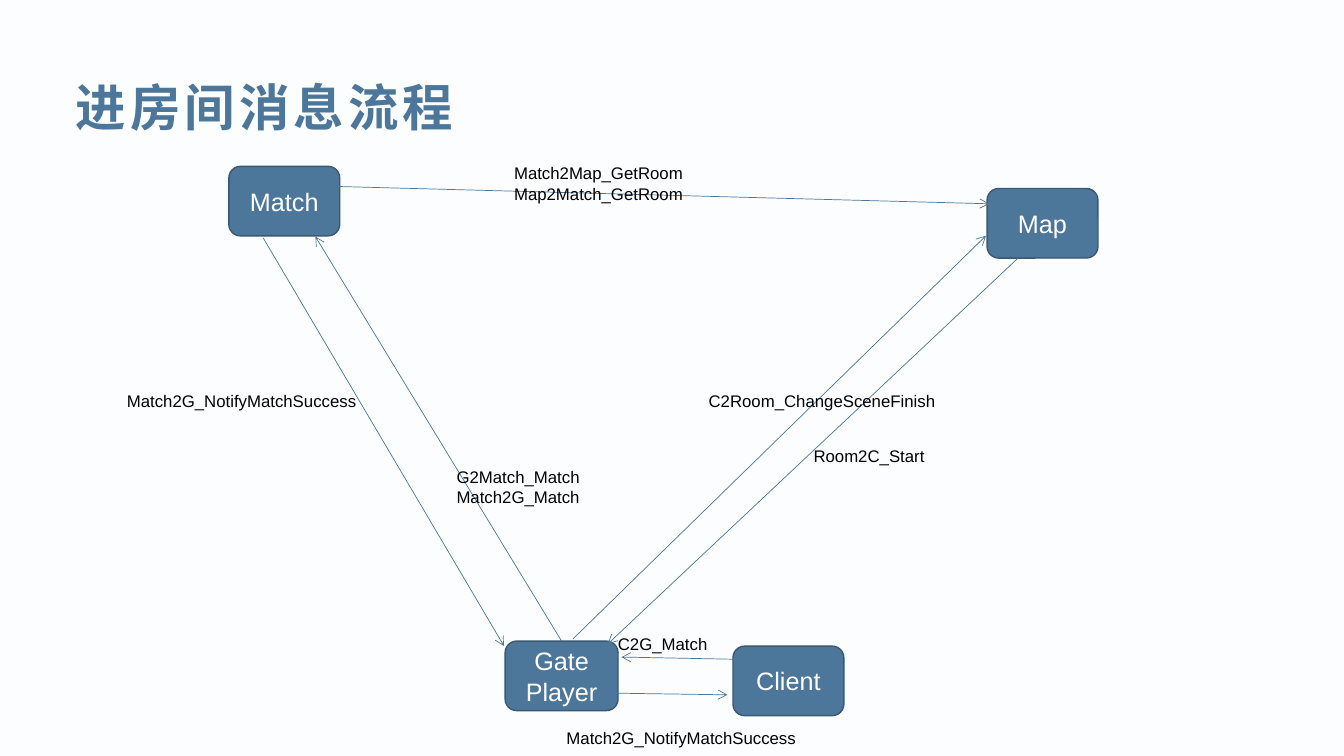
from dataclasses import dataclass

from lxml.etree import SubElement
from pptx import Presentation
from pptx.dml.color import RGBColor
from pptx.enum.shapes import MSO_CONNECTOR as Connector, MSO_SHAPE as Preset
from pptx.enum.text import MSO_ANCHOR as Anchor, MSO_AUTO_SIZE as AutoSize, PP_ALIGN as Align
from pptx.oxml.ns import qn
from pptx.util import Inches, Pt

PAPER = RGBColor(0xFB, 0xFD, 0xFE)
STEEL = RGBColor(0x4D, 0x77, 0x9A)
OUTLINE = RGBColor(0x39, 0x58, 0x72)
WHITE = RGBColor(0xFF, 0xFF, 0xFF)
BLACK = RGBColor(0, 0, 0)

COLUMNS, ROWS = 13.33, 7.5
NODE_HEIGHT = 0.69
LABEL_LINE = 0.2
LABEL_PADDING = 0.1
TOP_SIDE = 0


@dataclass(frozen=True)
class Box:
    """A rectangle in columns and rows of the slide grid."""
    left: float
    top: float
    width: float
    height: float = NODE_HEIGHT

    def point(self, across, down):
        """Return the place at the given shares of the box."""
        return (Inches(self.left + across * self.width),
                Inches(self.top + down * self.height))

    def frame(self):
        """Return left, top, width and height as lengths."""
        return [Inches(side) for side in (self.left, self.top, self.width, self.height)]


NODES = {
    "Gate\nPlayer": Box(5.01, 6.36, 1.12),
    "Match": Box(2.27, 1.65, 1.1),
    "Map": Box(9.79, 1.87, 1.1),
    "Client": Box(7.27, 6.41, 1.1),
}
GATE, MATCH, MAP, CLIENT = NODES

ARROWS = [
    (GATE, (0.5, 0), MATCH, (0.78, 1.01)),
    (MATCH, (0.31, 1.03), GATE, (-0.01, 0.07)),
    (CLIENT, (0.05, 0.19), GATE, (1.03, 0.23)),
    (GATE, (0.6, -0.03), MAP, (-0.01, 0.68)),
    (MAP, (0.28, 1), GATE, (0.91, 0.04)),
    (MATCH, (0.98, 0.29), MAP, (0.02, 0.22)),
    (GATE, (1, 0.75), CLIENT, (-0.05, 0.7)),
]

LABELS = [
    ("G2Match_Match\nMatch2G_Match", 4.43, 4.58, 1.47),
    ("Match2G_NotifyMatchSuccess", 1.16, 3.83, 2.68),
    ("C2G_Match", 6.03, 6.24, 1.29),
    ("C2Room_ChangeSceneFinish", 6.93, 3.83, 2.8),
    ("Room2C_Start", 7.97, 4.37, 1.31),
    ("Match2Map_GetRoom\nMap2Match_GetRoom", 5, 1.57, 2.09),
    ("Match2G_NotifyMatchSuccess", 5.52, 7.17, 2.68),
]


def write(shape, text, size, color, align=Align.LEFT, bold=False):
    """Fill a shape with evenly styled paragraphs."""
    frame = shape.text_frame
    frame.word_wrap = True
    frame.text = text
    for para in frame.paragraphs:
        para.alignment = align
        para.font.name = "Arial"
        para.font.size = Pt(size)
        para.font.bold = bold
        para.font.color.rgb = color
    return frame


def add_title(page, box, text):
    """Place the letter-spaced heading."""
    frame = write(page.shapes.add_textbox(*box.frame()), text, 36, STEEL, bold=True)
    frame.vertical_anchor = Anchor.MIDDLE
    frame.paragraphs[0].runs[0].font._element.set("spc", "300")


def add_node(page, box, text):
    """Place one server box and return its shape."""
    node = page.shapes.add_shape(Preset.ROUNDED_RECTANGLE, *box.frame())
    node.shadow.inherit = False
    node.fill.solid()
    node.fill.fore_color.rgb = STEEL
    node.line.color.rgb = OUTLINE
    node.line.width = Pt(1)
    write(node, text, 18, WHITE, Align.CENTER).vertical_anchor = Anchor.MIDDLE
    return node


def add_arrow(page, start, end):
    """Draw a thin open-headed arrow and return it."""
    arrow = page.shapes.add_connector(Connector.STRAIGHT, *start, *end)
    arrow.line.color.rgb = STEEL
    arrow.line.width = Pt(0.5)
    SubElement(arrow.line._get_or_add_ln(), qn("a:tailEnd"), type="arrow")
    SubElement(arrow._element.spPr, qn("a:effectLst"))
    return arrow


def add_label(page, box, text):
    """Place the names of the messages beside an arrow."""
    label = page.shapes.add_textbox(*box.frame())
    write(label, text, 12, BLACK).auto_size = AutoSize.SHAPE_TO_FIT_TEXT


def add_flow(page):
    """Place the servers, the arrows between them and the message names."""
    shapes = {name: add_node(page, box, name) for name, box in NODES.items()}
    for source, leave, target, arrive in ARROWS:
        arrow = add_arrow(page, NODES[source].point(*leave), NODES[target].point(*arrive))
        if leave == (0.5, 0):
            arrow.begin_connect(shapes[source], TOP_SIDE)
    for text, left, top, width in LABELS:
        height = LABEL_PADDING + LABEL_LINE * len(text.splitlines())
        add_label(page, Box(left, top, width, height), text)


def main():
    """Build the slide and save it."""
    deck = Presentation()
    deck.slide_width, deck.slide_height = Inches(COLUMNS), Inches(ROWS)
    page = deck.slides.add_slide(deck.slide_layouts[6])
    page.background.fill.solid()
    page.background.fill.fore_color.rgb = PAPER
    add_title(page, Box(0.65, 0.67, 12.28, 0.77), "进房间消息流程")
    add_flow(page)
    deck.save("out.pptx")


if __name__ == "__main__":
    main()
